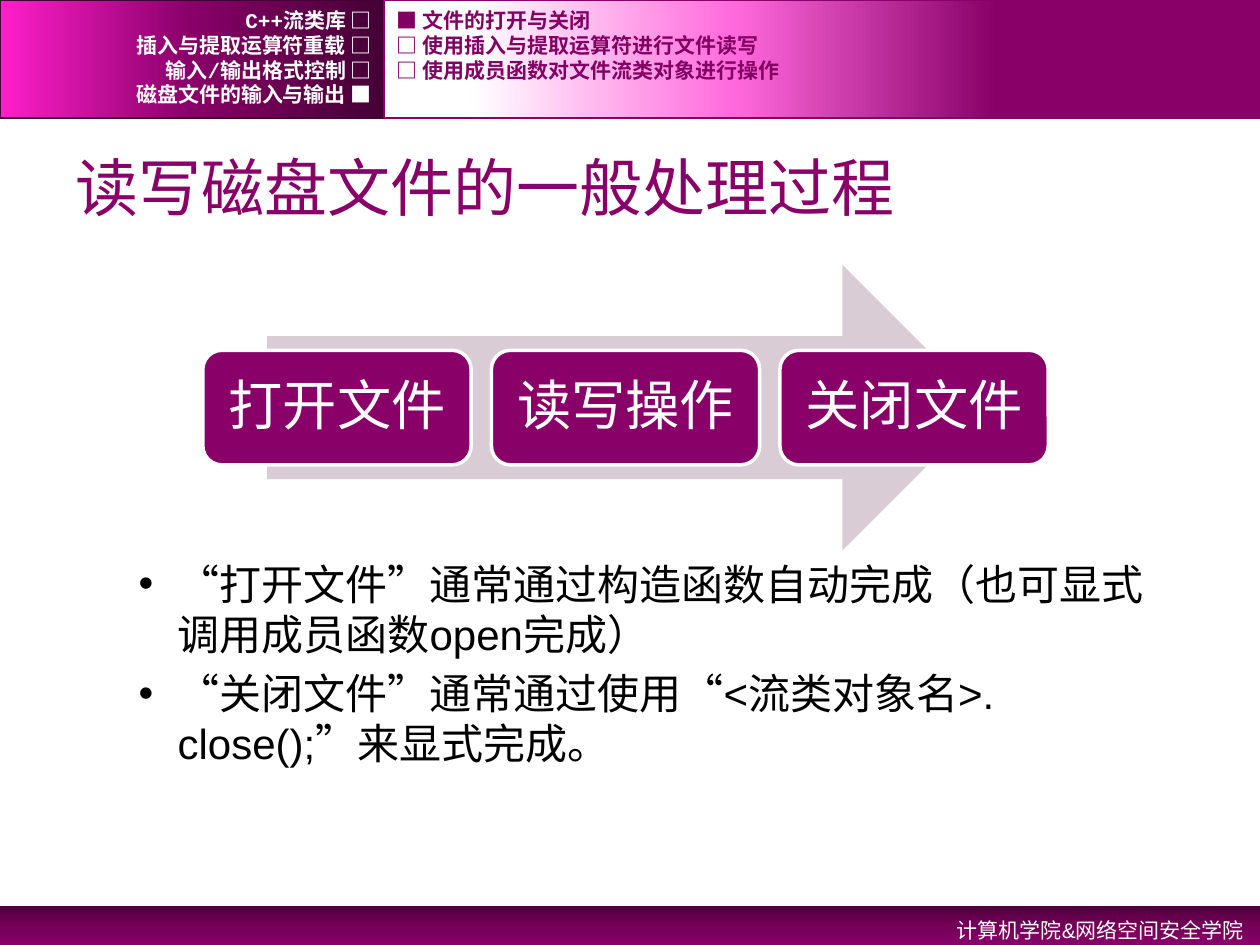
from copy import deepcopy
from lxml.etree import SubElement
from pptx import Presentation
from pptx.dml.color import RGBColor
from pptx.enum.lang import MSO_LANGUAGE_ID as LANG
from pptx.enum.shapes import MSO_SHAPE as SHAPE
from pptx.enum.text import MSO_ANCHOR as ANCHOR, MSO_AUTO_SIZE as AUTO, PP_ALIGN as ALIGN
from pptx.oxml.ns import qn
from pptx.util import Inches, Pt

PURPLE = RGBColor(0x88, 0x00, 0x68)
MENU_PURPLE = RGBColor(0x82, 0x00, 0x64)
DARK = RGBColor(0x44, 0x00, 0x34)
DEEP = RGBColor(0x51, 0x00, 0x3E)
MEDIUM = RGBColor(0x73, 0x00, 0x58)
MAGENTA = RGBColor(0xFF, 0x1F, 0xCA)
PINK = RGBColor(0xFF, 0x69, 0xDC)
PALE = RGBColor(0xDA, 0xCC, 0xD4)
WHITE = RGBColor(0xFF, 0xFF, 0xFF)
BLACK = RGBColor(0x00, 0x00, 0x00)

BANDS = [
    ((0, 7.19, 10, 0.31), [(0, DEEP), (0.5, MEDIUM), (1, PURPLE)], 270, None),
    ((0, 0, 3.05, 0.94), [(0, DARK), (0.5, PURPLE), (1, MAGENTA)], 180, DARK),
    ((3.05, 0, 6.95, 0.94), [(0.3, PURPLE), (0.6, PINK), (0.9, WHITE)], 180, PURPLE),
]
CHAPTERS = ["C++流类库 □", "插入与提取运算符重载 □", "输入/输出格式控制 □", "磁盘文件的输入与输出 ■"]
SECTIONS = ["■ 文件的打开与关闭", "□ 使用插入与提取运算符进行文件读写", "□ 使用成员函数对文件流类对象进行操作"]
MENUS = [
    (CHAPTERS, 0, 3.05, WHITE, ALIGN.RIGHT),
    (SECTIONS, 3.05, 6.02, MENU_PURPLE, ALIGN.LEFT),
]
TITLE = "读写磁盘文件的一般处理过程"
STEPS = ["打开文件", "读写操作", "关闭文件"]
NOTES = [
    "“打开文件”通常通过构造函数自动完成（也可显式调用成员函数open完成）",
    "“关闭文件”通常通过使用“<流类对象名>.close();”来显式完成。",
]
FOOTER = "计算机学院&网络空间安全学院"
MENU_TOP, MENU_PITCH = 0.06, 0.197
STEP_LEFT, STEP_PITCH = 1.61, 2.29


def inches(box):
    return [Inches(v) for v in box]


def place(sp, box):
    sp.left, sp.top, sp.width, sp.height = inches(box)


def write(p, text, size, color, font="Arial", bold=False, align=ALIGN.LEFT):
    p.alignment = align
    r = p.add_run()
    r.text = text
    r.font.size = Pt(size)
    r.font.name = font
    r.font.bold = bold
    r.font.color.rgb = color
    r.font.language_id = LANG.SIMPLIFIED_CHINESE
    return p


def add_shape(slide, kind, box, fill=None, line=None, width=1):
    sp = slide.shapes.add_shape(kind, *inches(box))
    sp.shadow.inherit = False
    if fill is not None:
        sp.fill.solid()
        sp.fill.fore_color.rgb = fill
    if line is None:
        sp.line.fill.background()
    else:
        sp.line.color.rgb = line
        sp.line.width = Pt(width)
    return sp


def set_gradient(sp, stops, angle):
    sp.fill.gradient()
    sp.fill.gradient_angle = angle
    gs_list = next(sp.fill._xPr.iter(qn("a:gsLst")))
    while len(gs_list) < len(stops):
        gs_list.append(deepcopy(gs_list[0]))
    for stop, (position, color) in zip(sp.fill.gradient_stops, stops):
        stop.position = position
        stop.color.rgb = color


def add_text(slide, box, text, size, color, anchor=ANCHOR.MIDDLE, **fmt):
    tf = slide.shapes.add_textbox(*inches(box)).text_frame
    tf.word_wrap = True
    tf.vertical_anchor = anchor
    return write(tf.paragraphs[0], text, size, color, **fmt)


def set_bullet(p, char, left, indent):
    pPr = p._p.get_or_add_pPr()
    pPr.set("marL", str(Inches(left)))
    pPr.set("indent", str(Inches(indent)))
    SubElement(pPr, qn("a:buFont"), typeface="Arial")
    SubElement(pPr, qn("a:buChar"), char=char)


def main():
    prs = Presentation()
    prs.slide_width, prs.slide_height = Inches(10), Inches(7.5)
    slide = prs.slides.add_slide(prs.slide_layouts[1])
    title, body = slide.placeholders

    for box, stops, angle, line in BANDS:
        set_gradient(add_shape(slide, SHAPE.RECTANGLE, box, line=line), stops, angle)
    footer = add_text(slide, (6.42, 7.19, 3.55, 0.32), FOOTER, 12, WHITE,
                      anchor=ANCHOR.TOP, align=ALIGN.RIGHT)
    footer.line_spacing = 1.2

    for items, left, width, color, align in MENUS:
        for i, text in enumerate(items):
            add_text(slide, (left, MENU_TOP + i * MENU_PITCH, width, 0.2), text, 12, color,
                     font="Courier New", bold=True, align=align)

    place(title, (0.5, 1.09, 9, 0.78))
    tf = title.text_frame
    tf.auto_size = AUTO.NONE
    tf.vertical_anchor = ANCHOR.MIDDLE
    write(tf.paragraphs[0], TITLE, 36, PURPLE)

    add_shape(slide, SHAPE.RIGHT_ARROW, (2.12, 2.1, 5.7, 2.27), PALE)
    for i, text in enumerate(STEPS):
        box = (STEP_LEFT + i * STEP_PITCH, 2.78, 2.13, 0.91)
        tf = add_shape(slide, SHAPE.ROUNDED_RECTANGLE, box, PURPLE, WHITE, 2).text_frame
        tf.word_wrap = True
        tf.vertical_anchor = ANCHOR.MIDDLE
        tf.margin_left = tf.margin_right = tf.margin_top = tf.margin_bottom = Inches(0.13)
        p = write(tf.paragraphs[0], text, 31, WHITE, align=ALIGN.CENTER)
        p.line_spacing = 0.9

    place(body, (0.5, 4.38, 9, 1.89))
    tf = body.text_frame
    tf.auto_size = AUTO.NONE
    for i, text in enumerate(NOTES):
        p = tf.add_paragraph() if i else tf.paragraphs[0]
        p.level = 1
        p.space_before = Pt(4.8)
        write(p, text, 24, BLACK)
        set_bullet(p, "•", 0.81, -0.31)

    prs.save("out.pptx")


if __name__ == "__main__":
    main()
